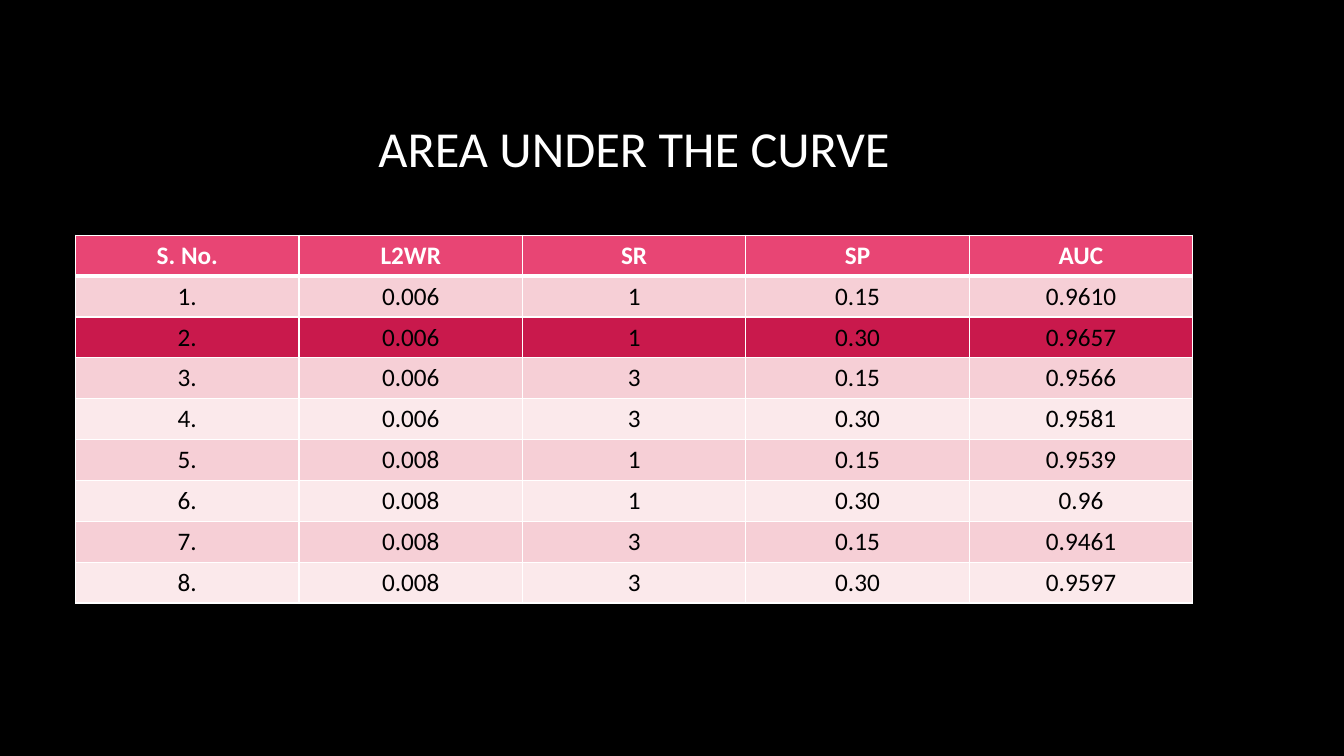
from collections import namedtuple
from itertools import product

from lxml.etree import SubElement
from pptx import Presentation
from pptx.dml.color import RGBColor
from pptx.enum.text import MSO_ANCHOR as Anchor, PP_ALIGN as Align
from pptx.oxml.ns import qn
from pptx.util import Inches, Pt

BLACK = RGBColor(0x00, 0x00, 0x00)
WHITE = RGBColor(0xFF, 0xFF, 0xFF)
HEADER_PINK = RGBColor(0xE8, 0x45, 0x74)
BEST_CRIMSON = RGBColor(0xC9, 0x19, 0x4C)
ODD_PINK = RGBColor(0xF6, 0xCF, 0xD6)
EVEN_PINK = RGBColor(0xFB, 0xE9, 0xEB)

FONT = "Calibri"
UNIT = Inches(1) / 12
COLUMNS, ROWS = 160, 90

Box = namedtuple("Box", "left top width height")

HEADINGS = ("S. No.", "L2WR", "SR", "SP", "AUC")
SETTINGS = product(("0.006", "0.008"), ("1", "3"), ("0.15", "0.30"))
AUC_SCORES = ("0.9610", "0.9657", "0.9566", "0.9581",
              "0.9539", "0.96", "0.9461", "0.9597")
BEST_TRIAL = 2


def grid_box(column, row, columns, rows):
    return Box(*(round(UNIT * count) for count in (column, row, columns, rows)))


def write(frame, wording, size, color, bold=False):
    paragraph = frame.paragraphs[0]
    paragraph.alignment = Align.CENTER
    run = paragraph.add_run()
    run.text = wording
    run.font.name = FONT
    run.font.size = Pt(size)
    run.font.bold = bold
    run.font.color.rgb = color


def draw_borders(cell, top, bottom):
    properties = cell._tc.get_or_add_tcPr()
    for side, points in (("L", 1), ("R", 1), ("T", top), ("B", bottom)):
        border = SubElement(properties, qn(f"a:ln{side}"), w=str(Pt(points)))
        border_fill = SubElement(border, qn("a:solidFill"))
        SubElement(border_fill, qn("a:srgbClr"), val=str(WHITE))


def row_color(trial):
    if trial == 0:
        return HEADER_PINK
    if trial == BEST_TRIAL:
        return BEST_CRIMSON
    return ODD_PINK if trial % 2 else EVEN_PINK


def place_title(slide, box):
    title = slide.shapes.title
    title.left, title.top, title.width, title.height = box
    title.text_frame.vertical_anchor = Anchor.MIDDLE
    write(title.text_frame, "AREA UNDER THE CURVE", 36, WHITE)


def place_results(slide, box):
    trials = [(f"{number}.", *setting, score) for number, (setting, score)
              in enumerate(zip(SETTINGS, AUC_SCORES), 1)]
    records = [HEADINGS, *trials]
    results = slide.shapes.add_table(len(records), len(HEADINGS), *box).table
    for column in results.columns:
        column.width = round(box.width / len(HEADINGS))
    for trial, record in enumerate(records):
        results.rows[trial].height = round(box.height / len(records))
        is_header = trial == 0
        for position, wording in enumerate(record):
            cell = results.cell(trial, position)
            draw_borders(cell, 3 if trial == 1 else 1, 3 if is_header else 1)
            cell.fill.solid()
            cell.fill.fore_color.rgb = row_color(trial)
            write(cell.text_frame, wording, 18,
                  WHITE if is_header else BLACK, is_header)


deck = Presentation()
deck.slide_width = round(UNIT * COLUMNS)
deck.slide_height = round(UNIT * ROWS)
slide = deck.slides.add_slide(deck.slide_layouts[5])
slide.background.fill.solid()
slide.background.fill.fore_color.rgb = BLACK
place_title(slide, grid_box(9, 8, 133, 19))
place_results(slide, grid_box(9, 28, 133, 43.8))
deck.save("out.pptx")
